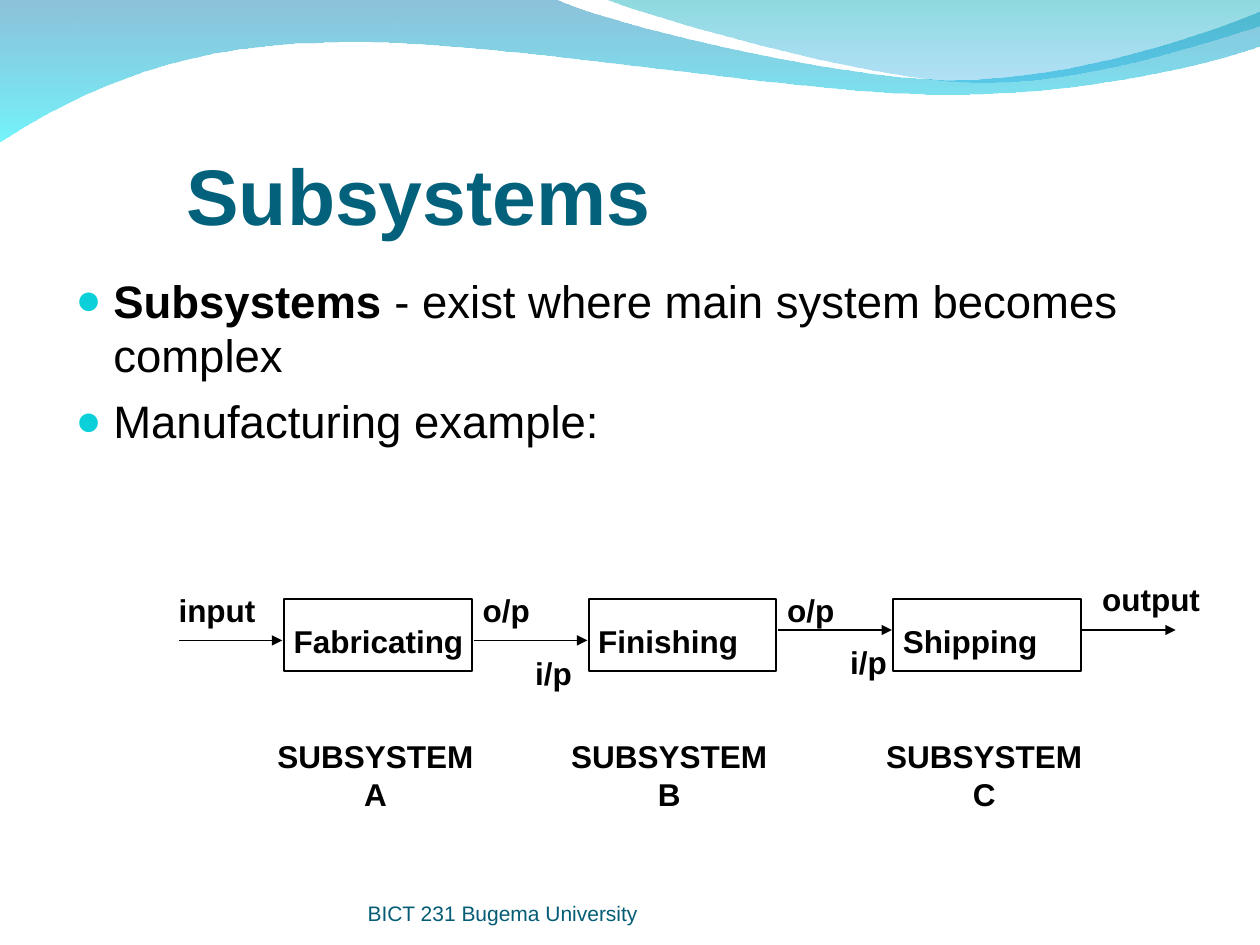
from lxml.etree import SubElement
from pptx import Presentation
from pptx.dml.color import RGBColor
from pptx.enum.shapes import MSO_CONNECTOR as Connector, MSO_SHAPE as Shape
from pptx.enum.text import MSO_ANCHOR as Anchor, MSO_AUTO_SIZE as AutoSize, PP_ALIGN as Align
from pptx.oxml.ns import qn
from pptx.util import Cm, Pt

COLORS = {
    "title": "04617B", "footer": "045C75", "bullet": "0BD0D9",
    "ink": "000000", "paper": "FFFFFF",
    "blue": "0079AF", "cyan": "00EBF8", "teal": "00ADB6", "sky": "009BE5",
}
FONT = "Arial"

# Each step is one point for a straight line, or three for a Bézier curve.
LOWER_WAVE = [
    [(0, -0.03)],
    [(11.18, -0.03)],
    [(12.09, 0.43), (16.87, 1.6), (19.25, 1.6)],
    [(21.67, 1.6), (24.33, 0.66), (25.4, 0.23)],
    [(25.43, 0.91)],
    [(24.97, 1.12), (22.1, 1.93), (18.95, 1.9)],
    [(15.8, 1.9), (9.7, 0.71), (6.53, 0.86)],
    [(3.28, 0.89), (1.17, 2.11), (-0.03, 2.87)],
]
UPPER_WAVE = [
    [(12.17, -0.03)],
    [(12.93, 0.28), (17.32, 1.57), (19.53, 1.65)],
    [(21.74, 1.75), (24.41, 0.81), (25.4, 0.53)],
    [(25.4, 0)],
]


def rgb(name):
    return RGBColor.from_string(COLORS[name])


class SlideWriter:
    def __init__(self, page):
        self.page = page
        self.shapes = page.shapes

    def place(self, item, left, top, width, height):
        item.left, item.top, item.width, item.height = map(Cm, (left, top, width, height))

    def style(self, para, size, color="ink", bold=None, align=Align.LEFT):
        para.alignment = align
        font = para.font
        font.name, font.size, font.bold = FONT, Pt(size), bold
        font.color.rgb = rgb(color)

    def wave(self, steps, stops):
        """Draw a curved gradient shape; stops are (colour, opacity percent)."""
        points = [(Cm(x), Cm(y)) for step in steps for x, y in step]
        builder = self.shapes.build_freeform(*points[0])
        builder.add_line_segments(points[1:], close=True)
        shape = builder.convert_to_shape()
        props = shape._element.spPr

        # Join the three lines of each curved step into one Bézier segment.
        lines = iter(list(props.iter(qn("a:lnTo"))))
        for step in steps[1:]:
            first, *others = [next(lines) for _ in step]
            if others:
                first.tag = qn("a:cubicBezTo")
                for line in others:
                    first.append(line[0])
                    line.getparent().remove(line)

        shape.shadow.inherit = False
        shape.line.fill.background()
        shape.fill.gradient()
        shape.fill.gradient_angle = 270
        for stop, (color, _) in zip(shape.fill.gradient_stops, stops):
            stop.color.rgb = rgb(color)
        for node, (_, opacity) in zip(props.iter(qn("a:srgbClr")), stops):
            SubElement(node, qn("a:alpha"), val=str(opacity * 1000))

    def title(self, text, *area):
        holder = self.shapes.title
        self.place(holder, *area)
        frame = holder.text_frame
        frame.text = text
        frame.vertical_anchor = Anchor.BOTTOM
        frame.margin_left = frame.margin_right = frame.margin_bottom = 0
        self.style(frame.paragraphs[0], 45, "title", True)

    def bullets(self, items, *area):
        """Each item is a list of (text, bold) spans."""
        holder = self.page.placeholders[1]
        self.place(holder, *area)
        frame = holder.text_frame
        for i, spans in enumerate(items):
            para = frame.add_paragraph() if i else frame.paragraphs[0]
            para.space_before = Pt(6.5 if i else 0)
            props = para._p.get_or_add_pPr()
            props.set("marL", str(Cm(0.76)))
            props.set("indent", str(-Cm(0.76)))
            SubElement(SubElement(props, qn("a:buClr")), qn("a:srgbClr"),
                       val=COLORS["bullet"])
            SubElement(props, qn("a:buSzPct"), val="95000")
            SubElement(props, qn("a:buChar"), char="●")
            for text, bold in spans:
                span = para.add_run()
                span.text = text
                span.font.bold = bold
            self.style(para, 26)

    def label(self, lines, left, top, width, height=1.02, align=Align.LEFT):
        frame = self.shapes.add_textbox(*map(Cm, (left, top, width, height))).text_frame
        frame.word_wrap = False
        frame.auto_size = AutoSize.SHAPE_TO_FIT_TEXT
        frame.text = lines
        for para in frame.paragraphs:
            self.style(para, 18, bold=True, align=align)

    def footer(self, text, *area):
        frame = self.shapes.add_textbox(*map(Cm, area)).text_frame
        frame.word_wrap = True
        frame.vertical_anchor = Anchor.BOTTOM
        frame.margin_left = frame.margin_right = frame.margin_top = frame.margin_bottom = 0
        frame.text = text
        self.style(frame.paragraphs[0], 12, "footer")

    def box(self, *area):
        shape = self.shapes.add_shape(Shape.RECTANGLE, *map(Cm, area))
        shape.shadow.inherit = False
        shape.fill.solid()
        shape.fill.fore_color.rgb = rgb("paper")
        shape.line.color.rgb = rgb("ink")
        shape.line.width = Pt(1)

    def arrow(self, start, end, y):
        line = self.shapes.add_connector(Connector.STRAIGHT, Cm(start), Cm(y), Cm(end), Cm(y))
        line.line.color.rgb = rgb("ink")
        line.line.width = Pt(1)
        SubElement(line.line._get_or_add_ln(), qn("a:tailEnd"), type="triangle")
        SubElement(line._element.spPr, qn("a:effectLst"))


def main():
    deck = Presentation()
    deck.slide_width, deck.slide_height = Cm(25.4), Cm(19.05)
    writer = SlideWriter(deck.slides.add_slide(deck.slide_layouts[1]))

    writer.wave(LOWER_WAVE, [("blue", 45), ("cyan", 55)])
    writer.wave(UPPER_WAVE, [("teal", 45), ("sky", 30)])
    writer.title("Subsystems", 3.76, 3.18, 21.64, 1.68)
    writer.bullets([
        [("Subsystems", True), (" - exist where main system becomes complex", False)],
        [("Manufacturing example:", False)],
    ], 1.27, 5.37, 22.86, 12.19)
    writer.footer("BICT 231 Bugema University", 7.41, 17.65, 9.32, 1.02)

    stages = [
        ("Fabricating", 3.94, "A", 5.26),
        ("Finishing", 3.33, "B", 11.18),
        ("Shipping", 3.23, "C", 17.53),
    ]
    for i, (stage, width, letter, caption_left) in enumerate(stages):
        left = 5.73 + i * 6.14
        writer.box(left, 12.08, 3.78, 1.45)
        writer.label(stage, left - 0.06, 12.42, width)
        writer.label(f"SUBSYSTEM \n{letter}", caption_left, 14.73, 4.62, 1.78, Align.CENTER)

    for start, end, y in [(3.61, 5.69, 12.91), (9.55, 11.84, 12.91),
                          (15.68, 17.98, 12.7), (21.82, 23.7, 12.7)]:
        writer.arrow(start, end, y)

    for text, left, top, width in [
        ("input", 3.35, 11.78, 2.06), ("output", 21.97, 11.56, 2.49),
        ("o/p", 9.48, 11.78, 1.46), ("i/p", 10.54, 13.05, 1.25),
        ("o/p", 15.62, 11.78, 1.46), ("i/p", 16.89, 12.83, 1.25),
    ]:
        writer.label(text, left, top, width)

    deck.save("out.pptx")


if __name__ == "__main__":
    main()
